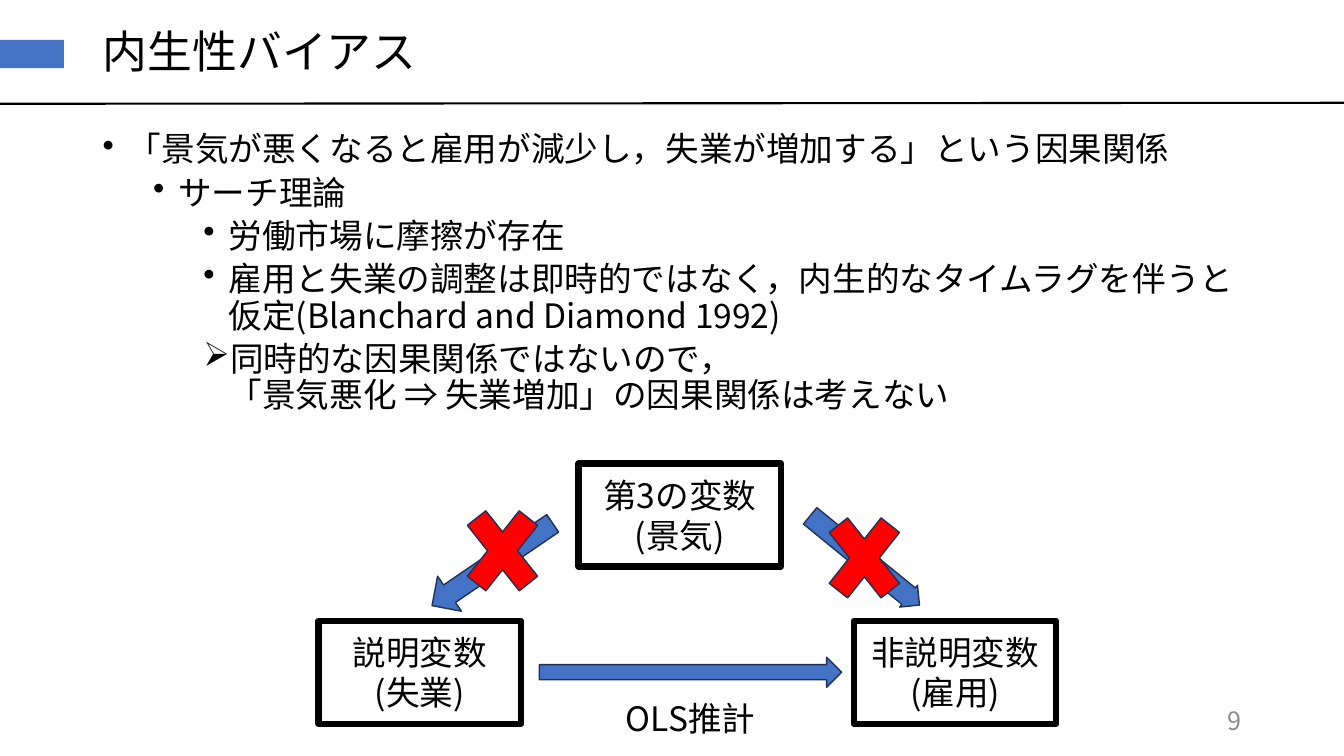
"""Build the endogeneity bias slide, with lengths in percent of the slide size."""
import dataclasses
import typing

import lxml.etree
import pptx
import pptx.dml.color
import pptx.enum.shapes
import pptx.enum.text
import pptx.oxml.ns
import pptx.util

COLOURS = {"ink": "000000", "accent": "4472C4", "edge": "1E3256", "denial": "FF0000", "page": "8C8C8C"}
FONT = "Noto Sans CJK JP"
WIDTH, HEIGHT = pptx.util.Inches(13.333), pptx.util.Inches(7.5)
KINDS = pptx.enum.shapes.MSO_SHAPE
ALIGN = pptx.enum.text.PP_ALIGN
ANCHOR = pptx.enum.text.MSO_ANCHOR
MARGIN, CONTENT_WIDTH = 6.9, 86.25
VARIABLE_SIZE = (15.07, 13.6)
DENIAL_SIZE = (7.43, 16.67)
LOWER_ROW = 82.13


@dataclasses.dataclass(frozen=True)
class Area:
    left: float
    top: float
    width: float
    height: float

    def lengths(self) -> tuple[int, int, int, int]:
        return (int(WIDTH * self.left / 100), int(HEIGHT * self.top / 100),
                int(WIDTH * self.width / 100), int(HEIGHT * self.height / 100))


@dataclasses.dataclass(frozen=True)
class Figure:
    kind: KINDS
    area: Area
    fill: str | None = "accent"
    edge: str | None = "edge"
    edge_width: float = 1
    turn: float = 0
    adjustments: tuple[float, ...] = ()
    label: str = ""


@dataclasses.dataclass(frozen=True)
class Point:
    text: str
    level: int = 0
    bullet: str = "•"


def colour(name: str) -> pptx.dml.color.RGBColor:
    return pptx.dml.color.RGBColor.from_string(COLOURS[name])


def apply(target: typing.Any, formats: dict[str, typing.Any]) -> None:
    for name, value in formats.items():
        setattr(target, name, value)


def write(frame: typing.Any, text: str, size: float = 24, ink: str = "ink",
          align: ALIGN = ALIGN.CENTER, anchor: ANCHOR = ANCHOR.MIDDLE, spacing: float = 1) -> None:
    apply(frame, {"text": text, "word_wrap": True, "vertical_anchor": anchor,
                  "auto_size": pptx.enum.text.MSO_AUTO_SIZE.NONE})
    for paragraph in frame.paragraphs:
        apply(paragraph, {"alignment": align, "line_spacing": spacing})
        for run in paragraph.runs:
            run.font.color.rgb = colour(ink)
            apply(run.font, {"size": pptx.util.Pt(size), "name": FONT})
            lxml.etree.SubElement(run.font._element, pptx.oxml.ns.qn("a:ea"), typeface=FONT)


def add_caption(slide: typing.Any, area: Area, text: str, **look: typing.Any) -> typing.Any:
    frame = slide.shapes.add_textbox(*area.lengths()).text_frame
    write(frame, text, **look)
    return frame


def add_points(slide: typing.Any, area: Area, points: list[Point]) -> None:
    frame = add_caption(slide, area, "\n".join(point.text for point in points),
                        align=ALIGN.LEFT, anchor=ANCHOR.TOP, spacing=0.9)
    for paragraph, point in zip(frame.paragraphs, points):
        apply(paragraph, {"level": point.level, "space_before": pptx.util.Pt(5 if point.level else 10)})
        properties = paragraph._p.get_or_add_pPr()
        properties.set("marL", str(pptx.util.Inches(0.25 + 0.5 * point.level)))
        properties.set("indent", str(pptx.util.Inches(-0.25)))
        lxml.etree.SubElement(properties, pptx.oxml.ns.qn("a:buChar"), char=point.bullet)


def add_figure(slide: typing.Any, figure: Figure) -> None:
    shape = slide.shapes.add_shape(figure.kind, *figure.area.lengths())
    shape.shadow.inherit = False
    shape.rotation = figure.turn
    for position, value in enumerate(figure.adjustments):
        shape.adjustments[position] = value
    for paint, name in ((shape.fill, figure.fill), (shape.line.fill, figure.edge)):
        if name:
            paint.solid()
            paint.fore_color.rgb = colour(name)
        else:
            paint.background()
    if figure.edge:
        shape.line.width = pptx.util.Pt(figure.edge_width)
    if figure.label:
        write(shape.text_frame, figure.label)


def add_heading(slide: typing.Any, text: str) -> None:
    rule = slide.shapes.add_connector(pptx.enum.shapes.MSO_CONNECTOR.STRAIGHT,
                                      0, int(HEIGHT * 0.1373), WIDTH, int(HEIGHT * 0.136))
    rule.line.color.rgb = colour("ink")
    rule.line.width = pptx.util.Pt(1.5)
    lxml.etree.SubElement(rule._element.spPr, pptx.oxml.ns.qn("a:effectLst"))
    add_figure(slide, Figure(KINDS.RECTANGLE, Area(0, 5.27, 4.75, 3.73), edge=None))
    heading = slide.shapes.title
    places = Area(MARGIN, 2, CONTENT_WIDTH, 10.4).lengths()
    apply(heading, dict(zip(("left", "top", "width", "height"), places)))
    write(heading.text_frame, text, size=32, align=ALIGN.LEFT, spacing=0.9)


def variable(left: float, top: float, label: str) -> Figure:
    return Figure(KINDS.RECTANGLE, Area(left, top, *VARIABLE_SIZE), fill=None,
                  edge="ink", edge_width=4.5, label=label)


def denial(left: float, top: float) -> Figure:
    return Figure(KINDS.MATH_MULTIPLY, Area(left, top, *DENIAL_SIZE), fill="denial")


ARGUMENT = [
    Point("「景気が悪くなると雇用が減少し，失業が増加する」という因果関係"),
    Point("サーチ理論", 1),
    Point("労働市場に摩擦が存在", 2),
    Point("雇用と失業の調整は即時的ではなく，内生的なタイムラグを伴うと仮定(Blanchard and Diamond 1992)", 2),
    Point("同時的な因果関係ではないので，\v「景気悪化 ⇒ 失業増加」の因果関係は考えない", 2, "➢"),
]
CAUSAL_DIAGRAM = [
    variable(23.7, LOWER_ROW, "説明変数\v(失業)"),
    variable(43.05, 61.33, "第3の変数\n(景気)"),
    variable(63.53, LOWER_ROW, "非説明変数\v(雇用)"),
    Figure(KINDS.RIGHT_ARROW, Area(40.13, 86.93, 22.5, 4)),
    Figure(KINDS.RIGHT_ARROW, Area(59.1, 72.27, 10.5, 3.73), turn=39.2, adjustments=(0.75, 0.5)),
    Figure(KINDS.RIGHT_ARROW, Area(31.2, 71.87, 10.87, 5.6), turn=145.7),
    denial(60.6, 65.47),
    denial(33.68, 64.53),
]


def main() -> None:
    deck = pptx.Presentation()
    apply(deck, {"slide_width": WIDTH, "slide_height": HEIGHT})
    slide = deck.slides.add_slide(deck.slide_layouts.get_by_name("Title Only"))
    add_heading(slide, "内生性バイアス")
    add_points(slide, Area(MARGIN, 16.93, CONTENT_WIDTH, 70), ARGUMENT)
    add_caption(slide, Area(70.65, 92.67, 22.5, 5.33), "9", size=18, ink="page", align=ALIGN.RIGHT)
    for figure in CAUSAL_DIAGRAM:
        add_figure(slide, figure)
    add_caption(slide, Area(44.63, 91.6, 13.5, 6.67), "OLS推計", anchor=ANCHOR.TOP)
    deck.save("out.pptx")


if __name__ == "__main__":
    main()
